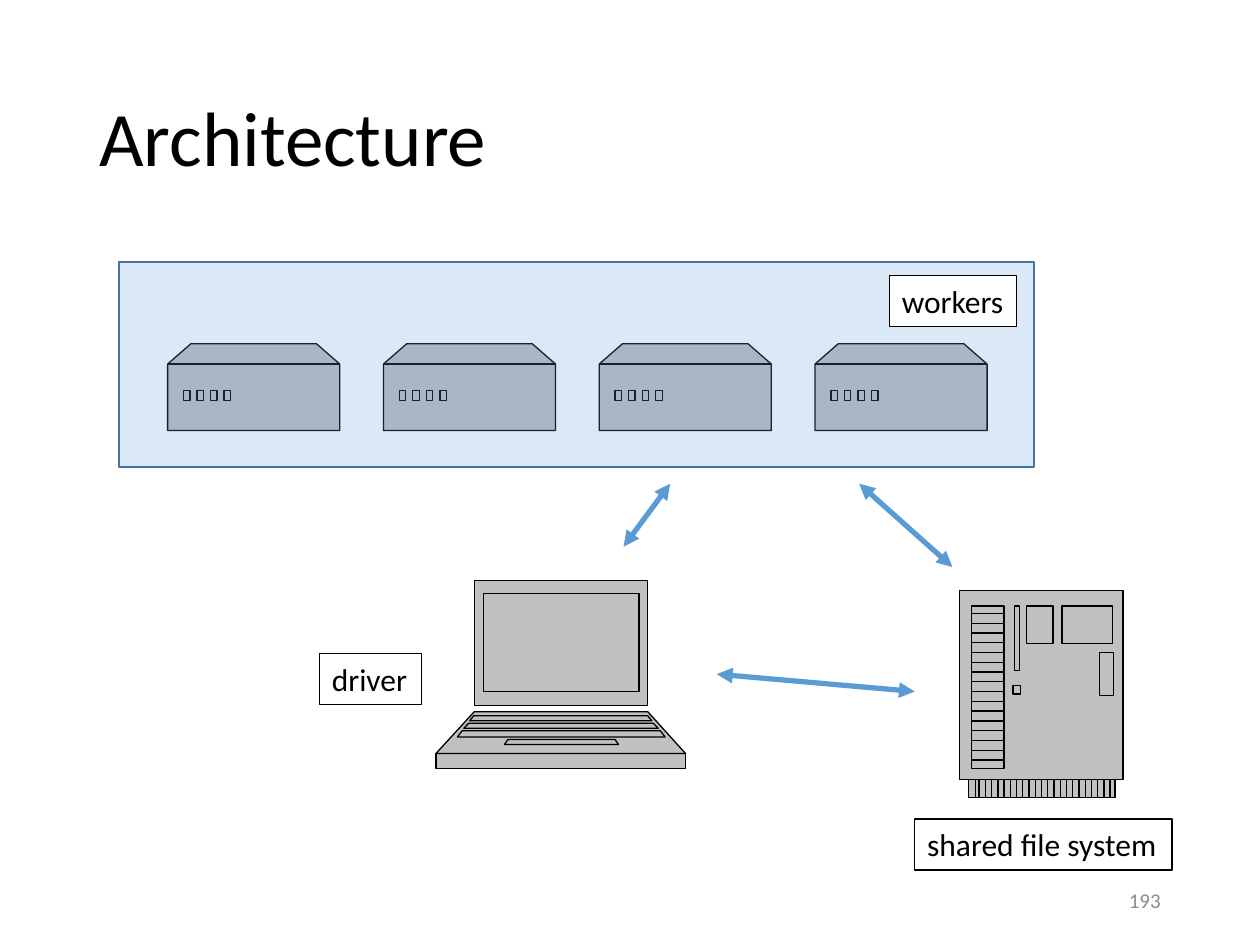
from pptx import Presentation
from pptx import util as u
from pptx.dml.color import RGBColor
from pptx.enum import shapes, text
from pptx.oxml import parse_xml
from pptx.oxml.ns import nsdecls, qn

FONT = "Calibri"
COLORS = {
    "ink": "000000",
    "paper": "FFFFFF",
    "metal": "C0C0C0",
    "blue": "5B9BD5",
    "edge": "43739E",
    "muted": "8C8C8C",
}


def color(name):
    return RGBColor.from_string(COLORS[name])


def spread(first, last, count):
    """Evenly spaced values from first to last."""
    gap = (last - first) / (count - 1)
    return [first + i * gap for i in range(count)]


def box(left, top, right, base):
    return [(left, top), (right, top), (right, base), (left, base), (left, top)]


def paint(shape, fill, line, width):
    """Set fill (None for no fill) and outline."""
    if fill:
        shape.fill.solid()
        shape.fill.fore_color.rgb = color(fill)
    else:
        shape.fill.background()
    shape.line.color.rgb = color(line)
    shape.line.width = u.Pt(width)


def draw(slide, paths, fill=None):
    """Draw lists of (x, y) points in cm as one freeform."""
    pen = None
    for path in paths:
        start, *rest = [(u.Cm(x), u.Cm(y)) for x, y in path]
        if pen is None:
            pen = slide.shapes.build_freeform(*start)
        else:
            pen.move_to(*start)
        pen.add_line_segments(rest, close=path[0] == path[-1])
    shape = pen.convert_to_shape()
    shape.shadow.inherit = False
    paint(shape, fill, "ink", 0.75)


def write(frame, words, size, ink="ink"):
    para = frame.paragraphs[0]
    run = para.add_run()
    run.text = words
    run.font.name = FONT
    run.font.size = u.Pt(size)
    run.font.color.rgb = color(ink)
    return para


def place(shape, left, top, width, height):
    shape.left, shape.top = u.Cm(left), u.Cm(top)
    shape.width, shape.height = u.Cm(width), u.Cm(height)


def add_title(slide, words):
    title = slide.shapes.title
    place(title, 1.75, 1.02, 21.9, 3.68)
    title.text_frame.vertical_anchor = text.MSO_ANCHOR.MIDDLE
    para = write(title.text_frame, words, 44)
    para.alignment = text.PP_ALIGN.LEFT
    para.line_spacing = 0.9


def add_label(slide, words, left, top, width, fill=None):
    label = slide.shapes.add_textbox(u.Cm(left), u.Cm(top), u.Cm(width), u.Cm(1.03))
    paint(label, fill, "ink", 0.75)
    label.text_frame.word_wrap = False
    label.text_frame.auto_size = text.MSO_AUTO_SIZE.SHAPE_TO_FIT_TEXT
    write(label.text_frame, words, 18)


def add_number(slide, words):
    number = slide.shapes.add_textbox(u.Cm(17.94), u.Cm(17.65), u.Cm(5.71), u.Cm(1.01))
    number.text_frame.word_wrap = True
    number.text_frame.vertical_anchor = text.MSO_ANCHOR.MIDDLE
    para = write(number.text_frame, words, 12, "muted")
    para.alignment = text.PP_ALIGN.RIGHT


def add_arrow(slide, *ends):
    """Add a line with a head at both ends."""
    arrow = slide.shapes.add_connector(
        shapes.MSO_CONNECTOR.STRAIGHT, *[u.Cm(end) for end in ends])
    arrow.line.color.rgb = color("blue")
    arrow.line.width = u.Pt(3)
    line = arrow.line._get_or_add_ln()
    for tag in ("headEnd", "tailEnd"):
        line.append(parse_xml(f'<a:{tag} {nsdecls("a")} type="triangle"/>'))
    arrow._element.spPr.append(parse_xml(f'<a:effectLst {nsdecls("a")}/>'))


def add_panel(slide):
    """Tinted, see-through area over the servers."""
    panel = slide.shapes.add_shape(
        shapes.MSO_SHAPE.RECTANGLE, u.Cm(2.4), u.Cm(5.28), u.Cm(18.45), u.Cm(4.13))
    panel.shadow.inherit = False
    paint(panel, "blue", "edge", 1)
    tint = panel._element.spPr.find(qn("a:solidFill"))[0]
    tint.append(parse_xml(f'<a:alpha {nsdecls("a")} val="22000"/>'))


def add_server(slide, left):
    right, top, roof, base = left + 3.47, 6.93, 7.34, 8.68
    draw(slide, [[(left, roof), (left + 0.47, top), (right - 0.47, top),
                  (right, roof), (right, base), (left, base), (left, roof)]], "metal")
    slots = [box(x, 7.87, x + 0.13, 8.08)
             for x in spread(left + 0.32, left + 1.14, 4)]
    draw(slide, [[(left, roof), (right, roof)]] + slots)


def add_laptop(slide):
    deck = [(9.56, 14.35), (13.06, 14.35), (13.82, 15.19), (8.79, 15.19), (9.56, 14.35)]
    draw(slide, [box(9.56, 11.7, 13.06, 14.22), deck,
                 box(8.79, 15.19, 13.82, 15.5)], "metal")
    # Top, base, then left and right ends of the top edge, and slant
    rows = [
        (14.43, 14.53, 9.55, 13.06, 0.08),
        (14.58, 14.68, 9.45, 13.17, 0.1),
        (14.73, 14.86, 9.32, 13.31, 0.1),
        (14.91, 15.01, 10.24, 12.4, 0.07),
    ]
    keys = [[(left, top), (right, top), (right + slant, base),
             (left - slant, base), (left, top)]
            for top, base, left, right, slant in rows]
    draw(slide, [box(9.75, 11.96, 12.88, 13.94)] + keys)


def add_tower(slide):
    left, right, top, floor = 19.35, 22.64, 11.91, 15.72
    foot, heel, base = 19.53, 22.48, 16.08
    draw(slide, [[(left, top), (right, top), (right, floor), (heel, floor),
                  (heel, base), (foot, base), (foot, floor), (left, floor),
                  (left, top)]], "metal")
    grill = [[(19.58, y), (20.24, y)] for y in spread(12.37, 15.32, 16)]
    fins = [[(x, floor), (x, base)] for x in [19.66] + spread(19.74, 22.38, 22)]
    bays = [
        box(19.58, 12.22, 20.24, 15.49),
        box(20.45, 12.22, 20.55, 13.52),
        box(20.42, 13.82, 20.58, 13.99),
        box(20.7, 12.22, 21.23, 12.98),
        box(21.41, 12.22, 22.43, 12.98),
        box(22.17, 13.16, 22.45, 14.02),
    ]
    draw(slide, [[(foot, floor), (heel, floor)]] + grill + fins + bays)


def main():
    deck = Presentation()
    deck.slide_width, deck.slide_height = u.Cm(25.4), u.Cm(19.05)
    slide = deck.slides.add_slide(deck.slide_layouts[5])
    add_title(slide, "Architecture")
    add_laptop(slide)
    add_label(slide, "driver", 6.44, 13.18, 2.06)
    for left in spread(3.38, 16.43, 4):
        add_server(slide, left)
    add_panel(slide)
    add_label(slide, "workers", 17.93, 5.56, 2.57, "paper")
    add_tower(slide)
    add_label(slide, "shared file system", 18.44, 16.51, 5.19)
    add_arrow(slide, 17.32, 9.75, 19.2, 11.43)
    add_arrow(slide, 14.45, 13.59, 18.44, 13.94)
    add_arrow(slide, 13.51, 9.75, 12.57, 11.02)
    add_number(slide, "193")
    deck.save("out.pptx")


if __name__ == "__main__":
    main()
